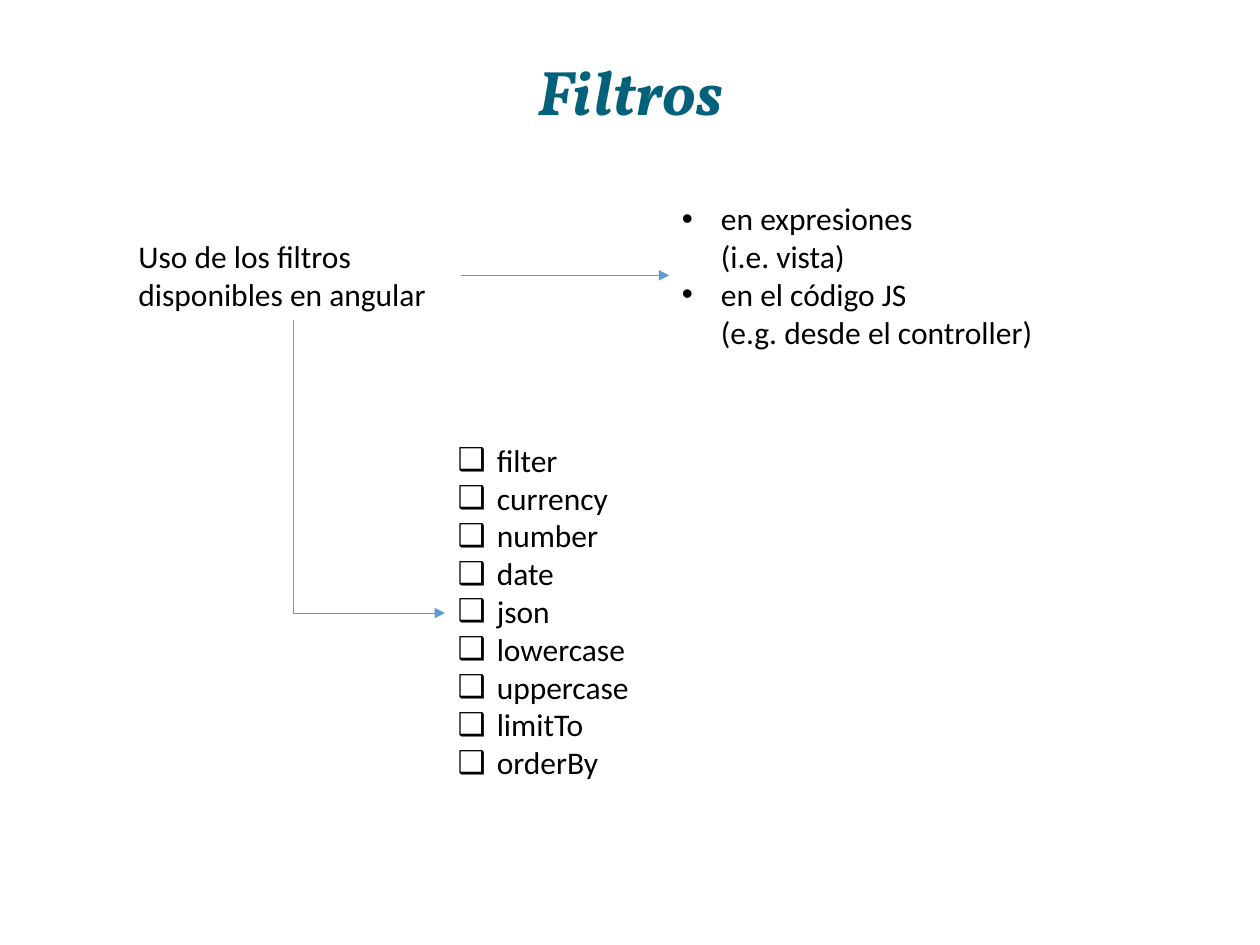
from lxml import etree
from pptx import Presentation
from pptx.dml.color import RGBColor
from pptx.enum.shapes import MSO_CONNECTOR
from pptx.enum.text import MSO_ANCHOR, MSO_AUTO_SIZE, PP_ALIGN
from pptx.oxml.ns import qn
from pptx.util import Cm, Pt

STRAIGHT = MSO_CONNECTOR.STRAIGHT
ELBOW = MSO_CONNECTOR.ELBOW
CENTER = PP_ALIGN.CENTER
LEFT = PP_ALIGN.LEFT
MIDDLE = MSO_ANCHOR.MIDDLE
TOP = MSO_ANCHOR.TOP
NO_AUTOFIT = MSO_AUTO_SIZE.NONE
TWO_CONTENT = 3


def color(value):
    return RGBColor.from_string(value)


class FilterSlide:
    title_font, title_size, title_color = "Vollkorn", 36, "04617B"
    body_font, body_size, body_color = "Calibri", 18, "000000"
    arrow_color, arrow_width = "5B9BD5", 0.5
    bullet_indent = Cm(0.79)

    def __init__(self, presentation):
        layout = presentation.slide_layouts[TWO_CONTENT]
        self.slide = presentation.slides.add_slide(layout)

    def place(self, shape, left, top, width, height, anchor=TOP):
        shape.left, shape.top = Cm(left), Cm(top)
        shape.width, shape.height = Cm(width), Cm(height)
        frame = shape.text_frame
        frame.word_wrap = True
        frame.auto_size = NO_AUTOFIT
        frame.vertical_anchor = anchor
        return frame

    def add_lines(self, paragraph, text):
        for number, line in enumerate(text.split("\n")):
            if number:
                paragraph.add_line_break()
            run = paragraph.add_run()
            run.text = line
            run.font.name = self.body_font
            run.font.size = Pt(self.body_size)
            run.font.color.rgb = color(self.body_color)

    def title(self, text, *box):
        frame = self.place(self.slide.shapes.title, *box, anchor=MIDDLE)
        heading = frame.paragraphs[0]
        heading.alignment = CENTER
        heading.line_spacing = 0.9
        run = heading.add_run()
        run.text = text
        run.font.name = self.title_font
        run.font.size = Pt(self.title_size)
        run.font.bold = run.font.italic = True
        run.font.color.rgb = color(self.title_color)

    def text(self, text, *box):
        frame = self.place(self.slide.shapes.add_textbox(0, 0, 0, 0), *box)
        self.add_lines(frame.paragraphs[0], text)

    def bullets(self, index, mark, items, *box):
        frame = self.place(self.slide.placeholders[index], *box)
        for number, item in enumerate(items):
            paragraph = frame.add_paragraph() if number else frame.paragraphs[0]
            properties = paragraph._p.get_or_add_pPr()
            properties.set("marL", str(self.bullet_indent))
            properties.set("indent", str(-self.bullet_indent))
            etree.SubElement(properties, qn("a:buChar"), char=mark)
            paragraph.alignment = LEFT
            paragraph.space_before = Pt(0)
            self.add_lines(paragraph, item)

    def arrow(self, kind, *ends):
        connector = self.slide.shapes.add_connector(kind, *map(Cm, ends))
        connector.line.color.rgb = color(self.arrow_color)
        connector.line.width = Pt(self.arrow_width)
        line = connector.line._get_or_add_ln()
        etree.SubElement(line, qn("a:tailEnd"), type="triangle")
        etree.SubElement(connector._element.spPr, qn("a:effectLst"))
        return connector

    def down_right_arrow(self, start_x, start_y, end_x, end_y):
        middle_x, middle_y = (start_x + end_x) / 2, (start_y + end_y) / 2
        half_run, half_drop = (end_x - start_x) / 2, (end_y - start_y) / 2
        connector = self.arrow(
            ELBOW,
            middle_x + half_drop, middle_y - half_run,
            middle_x - half_drop, middle_y + half_run,
        )
        properties = connector._element.spPr
        properties.find(qn("a:prstGeom")).set("prst", "bentConnector2")
        properties.find(qn("a:xfrm")).set("rot", str(270 * 60000))


def main():
    presentation = Presentation()
    presentation.slide_width, presentation.slide_height = Cm(25.4), Cm(19.05)

    slide = FilterSlide(presentation)
    slide.title("Filtros", 1.75, 1.02, 21.9, 1.78)
    slide.text("Uso de los filtros disponibles en angular", 2.54, 4.65, 6.76, 1.8)
    uses = ["en expresiones\n(i.e. vista)", "en el código JS\n(e.g. desde el controller)"]
    slide.bullets(1, "•", uses, 13.49, 3.89, 8.13, 3.33)
    slide.arrow(STRAIGHT, 9.3, 5.55, 13.49, 5.55)
    filters = [
        "filter", "currency", "number", "date", "json",
        "lowercase", "uppercase", "limitTo", "orderBy",
    ]
    slide.bullets(2, "❑", filters, 8.97, 8.76, 4.01, 7.19)
    slide.down_right_arrow(5.92, 6.45, 8.97, 12.36)

    presentation.save("out.pptx")


if __name__ == "__main__":
    main()
